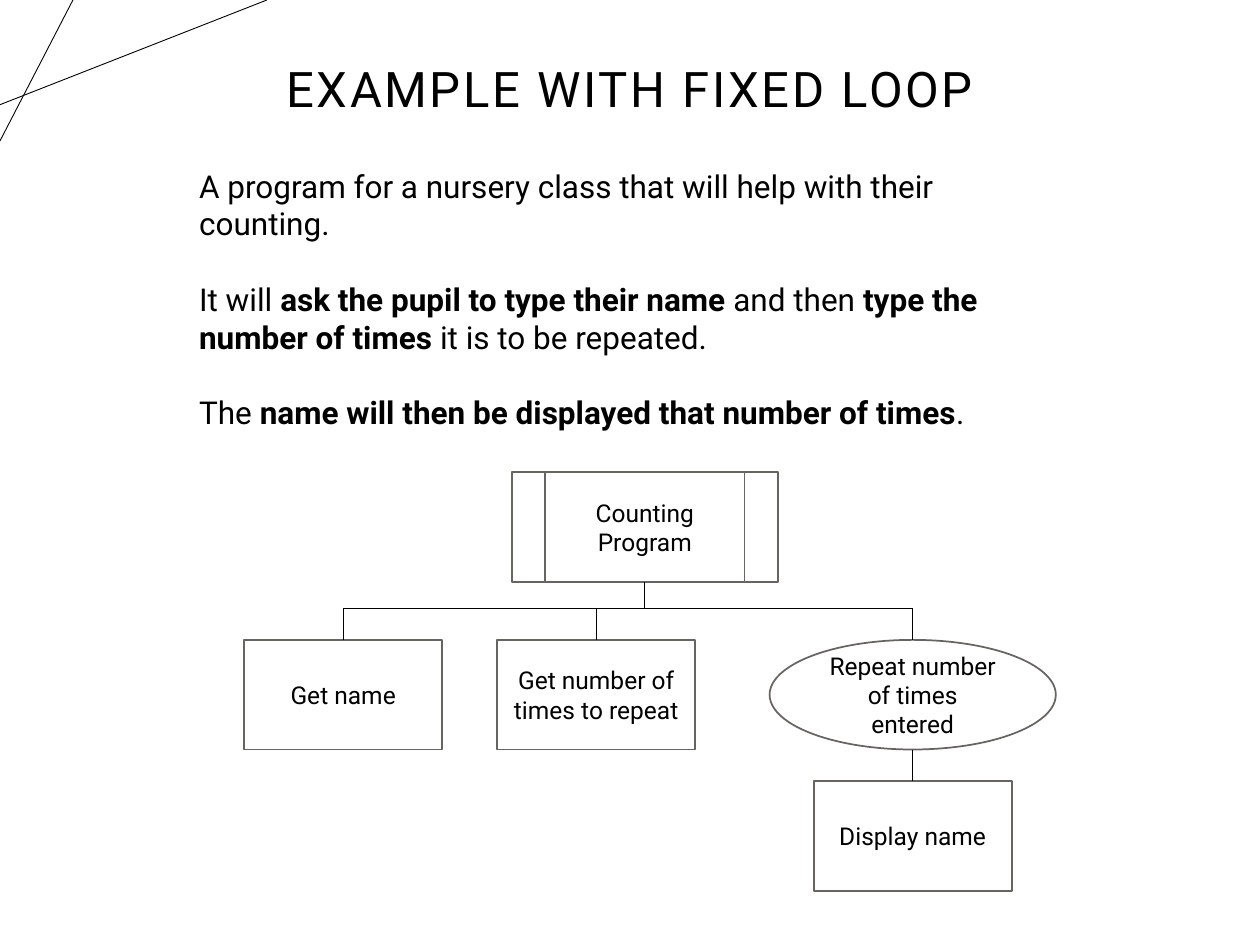
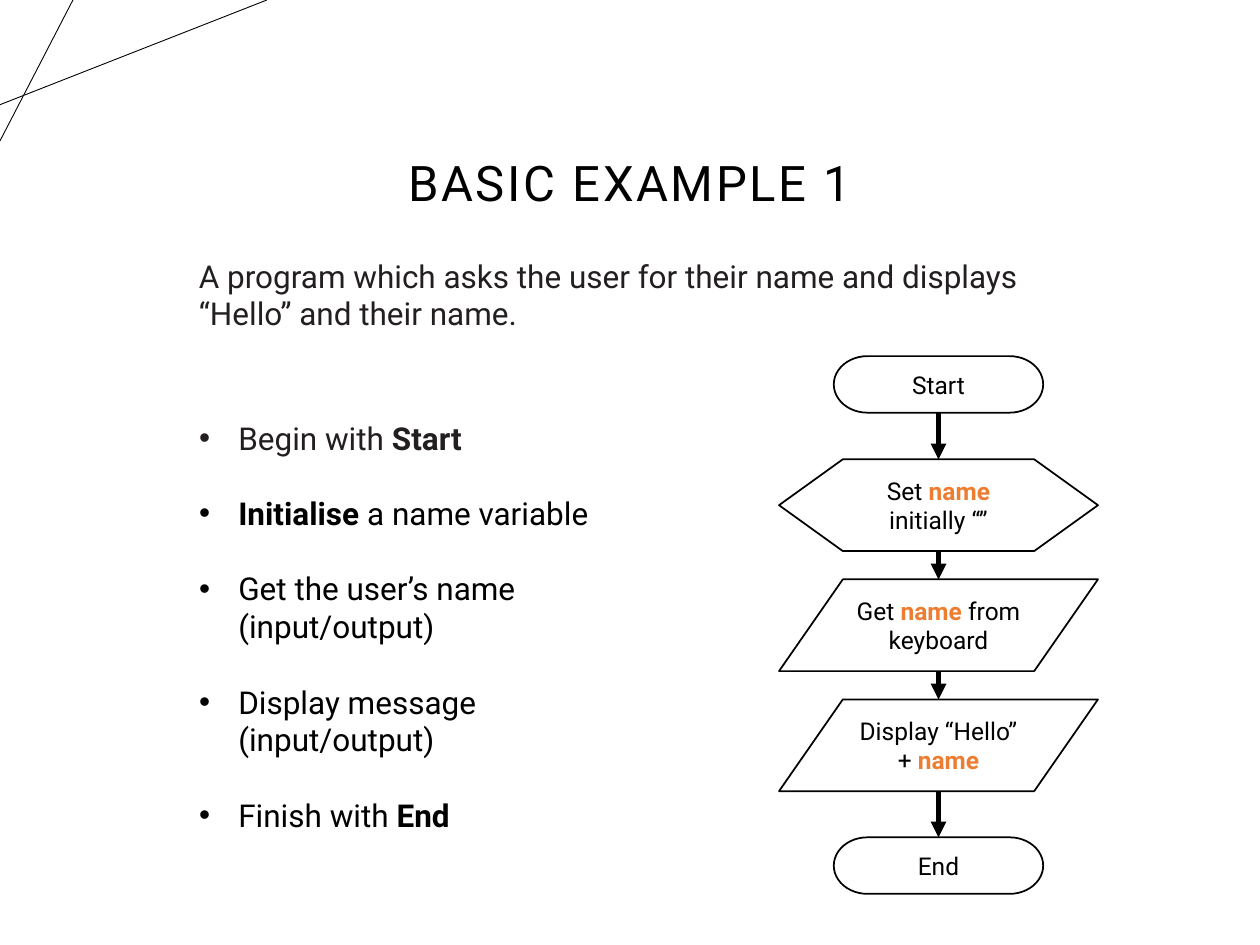
from pptx import Presentation
from pptx.dml.color import RGBColor
from pptx.enum.shapes import MSO_CONNECTOR, MSO_SHAPE as Kind
from pptx.enum.text import MSO_ANCHOR as Anchor, MSO_AUTO_SIZE as AutoSize, PP_ALIGN as Align
from pptx.oxml.ns import qn
from pptx.util import Cm, Pt

FONT = "Roboto"
COLORS = {
    "black": "000000",
    "ink": "231F20",
    "white": "FFFFFF",
    "grey": "666562",
    "orange": "ED7D31",
}
TITLE_LEFT, TITLE_WIDTH, TITLE_HEIGHT = 1.75, 21.9, 3.68
TEXT_LEFT, TEXT_WIDTH = 3.76, 17.86
TEXT_SIZE, LABEL_SIZE = 18, 14
PARAGRAPH_GAP = 21.5
BULLET_INDENT = 0.79
TOP, BOTTOM = 0, 2
# Kinds whose connection sites are the four side middles
FOUR_SITED = {Kind.FLOWCHART_PROCESS, Kind.FLOWCHART_PREDEFINED_PROCESS,
              Kind.FLOWCHART_PREPARATION, Kind.FLOWCHART_TERMINATOR}


def color(name):
    return RGBColor.from_string(COLORS[name])


class Deck:
    def __init__(self):
        self.presentation = Presentation()
        self.presentation.slide_width = Cm(25.4)
        self.presentation.slide_height = Cm(19.05)
        self.slide = None

    def new_slide(self, title, title_top):
        layout = self.presentation.slide_layouts[1]
        self.slide = self.presentation.slides.add_slide(layout)
        self.line((Cm(0), Cm(2.11)), (Cm(5.38), Cm(0)))
        self.line((Cm(1.47), Cm(0)), (Cm(0), Cm(2.84)))

        shape = self.slide.shapes.title
        self.place(shape, TITLE_LEFT, title_top, TITLE_WIDTH, TITLE_HEIGHT)
        frame = shape.text_frame
        frame.vertical_anchor = Anchor.MIDDLE
        self.fill_text(frame, [title], 28, align=Align.CENTER)
        paragraph = frame.paragraphs[0]
        paragraph.line_spacing = 0.9
        paragraph.runs[0].font._element.set("spc", "150")

    def place(self, shape, left, top, width, height):
        shape.left, shape.top = Cm(left), Cm(top)
        shape.width, shape.height = Cm(width), Cm(height)

    def fill_text(self, frame, texts, size, ink="black", strong=None, align=Align.LEFT):
        """Fill a frame, one paragraph a text; *starred* words are bold, in colour strong if given."""
        frame.word_wrap = True
        frame.auto_size = AutoSize.NONE
        for index, text in enumerate(texts):
            paragraph = frame.add_paragraph() if index else frame.paragraphs[0]
            paragraph.alignment = align
            for part, words in enumerate(text.split("*")):
                if not words:
                    continue
                run = paragraph.add_run()
                run.text = words
                bold = part % 2 == 1
                font = run.font
                font.name, font.size, font.bold = FONT, Pt(size), bold
                font.color.rgb = color(strong if bold and strong else ink)

    def body(self, texts, top, width, height, bulleted=False):
        shape = self.slide.placeholders[1]
        self.place(shape, TEXT_LEFT, top, width, height)
        self.fill_text(shape.text_frame, texts, TEXT_SIZE)
        indent = Cm(BULLET_INDENT) if bulleted else 0
        for paragraph in shape.text_frame.paragraphs:
            paragraph.space_before = Pt(0)
            paragraph.space_after = Pt(PARAGRAPH_GAP)
            properties = paragraph._p.get_or_add_pPr()
            properties.set("marL", str(indent))
            properties.set("indent", str(-indent))
            bullet = properties.makeelement(qn("a:buChar" if bulleted else "a:buNone"), {})
            if bulleted:
                bullet.set("char", "•")
            properties.append(bullet)
        return shape.text_frame

    def text_box(self, text, top, height, ink):
        box = self.slide.shapes.add_textbox(Cm(TEXT_LEFT), Cm(top), Cm(TEXT_WIDTH), Cm(height))
        self.fill_text(box.text_frame, [text], TEXT_SIZE, ink)

    def node(self, kind, text, center, top, width, height, outline="black", fill=None):
        shape = self.slide.shapes.add_shape(
            kind, Cm(center - width / 2), Cm(top), Cm(width), Cm(height))
        shape.shadow.inherit = False
        if fill:
            shape.fill.solid()
            shape.fill.fore_color.rgb = color(fill)
        else:
            shape.fill.background()
        shape.line.color.rgb = color(outline)
        shape.line.width = Pt(1)
        shape.text_frame.vertical_anchor = Anchor.MIDDLE
        self.fill_text(shape.text_frame, [text], LABEL_SIZE, strong="orange", align=Align.CENTER)
        return shape

    def line(self, start, end, weight=0.5, arrow=False):
        connector = self.slide.shapes.add_connector(MSO_CONNECTOR.STRAIGHT, *start, *end)
        connector.line.color.rgb = color("black")
        connector.line.width = Pt(weight)
        if arrow:
            outline = connector.line._get_or_add_ln()
            outline.append(outline.makeelement(qn("a:tailEnd"), {"type": "triangle"}))
        properties = connector._element.spPr
        properties.append(properties.makeelement(qn("a:effectLst"), {}))
        return connector

    def drop(self, upper, lower, **style):
        """Draw a vertical line between two nodes, or between a node and a height."""
        x = middle(upper if is_height(lower) else lower)
        start = upper if is_height(upper) else upper.top + upper.height
        end = lower if is_height(lower) else lower.top
        connector = self.line((x, start), (x, end), **style)
        if joinable(upper):
            connector.begin_connect(upper, BOTTOM)
        if joinable(lower):
            connector.end_connect(lower, TOP)


def middle(shape):
    return shape.left + shape.width // 2


def is_height(target):
    return isinstance(target, int)


def joinable(target):
    return not is_height(target) and target.auto_shape_type in FOUR_SITED


def fixed_loop_slide(deck):
    deck.new_slide("EXAMPLE WITH FIXED LOOP", 0)
    deck.body([
        "A program for a nursery class that will help with their counting.",
        "It will *ask the pupil to type their name* and then "
        "*type the number of times *it is to be repeated.",
        "The *name will then be displayed that number of times*.",
    ], 3.23, TEXT_WIDTH, 5.6)

    height, box_width, step_top = 2.21, 3.99, 12.9
    style = {"height": height, "outline": "grey", "fill": "white"}
    program = deck.node(Kind.FLOWCHART_PREDEFINED_PROCESS, "Counting Program",
                        13, 9.52, 5.36, **style)
    steps = [
        deck.node(kind, text, center, step_top, width, **style)
        for kind, text, center, width in [
            (Kind.FLOWCHART_PROCESS, "Get name", 6.92, box_width),
            (Kind.FLOWCHART_PROCESS, "Get number of times to repeat", 12.02, box_width),
            (Kind.FLOWCHART_CONNECTOR, "Repeat number of times entered", 18.4, 5.77),
        ]
    ]
    display = deck.node(Kind.FLOWCHART_PROCESS, "Display name", 18.4, 15.75, box_width, **style)

    bar = Cm(12.27)
    deck.line((middle(steps[0]), bar), (middle(steps[-1]), bar))
    deck.drop(program, bar)
    for step in steps:
        deck.drop(bar, step)
    deck.drop(steps[-1], display)


def basic_example_slide(deck):
    deck.new_slide("BASIC EXAMPLE 1", 1.9)
    deck.text_box("A program which asks the user for their name and displays "
                  "“Hello” and their name.", 5.05, 1.8, "ink")
    frame = deck.body([
        "Begin with *Start*",
        "*Initialise* a name variable",
        "Get the user’s name (input/output)",
        "Display message (input/output)",
        "Finish with *End*",
    ], 8.31, 9.42, 9.5, bulleted=True)
    for run in frame.paragraphs[0].runs:
        run.font.color.rgb = color("ink")

    center = 18.92
    end_size, step_size = (4.22, 1.14), (6.43, 1.85)
    nodes = [
        deck.node(kind, text, center, top, *size)
        for kind, text, top, size in [
            (Kind.FLOWCHART_TERMINATOR, "Start", 7.18, end_size),
            (Kind.FLOWCHART_PREPARATION, "Set *name* initially “”", 9.26, step_size),
            (Kind.FLOWCHART_DATA, "Get *name* from keyboard", 11.68, step_size),
            (Kind.FLOWCHART_DATA, "Display “Hello” + *name*", 14.1, step_size),
            (Kind.FLOWCHART_TERMINATOR, "End", 16.88, end_size),
        ]
    ]
    for upper, lower in zip(nodes, nodes[1:]):
        deck.drop(upper, lower, weight=3, arrow=True)


def main():
    deck = Deck()
    fixed_loop_slide(deck)
    basic_example_slide(deck)
    deck.presentation.save("out.pptx")


if __name__ == "__main__":
    main()
